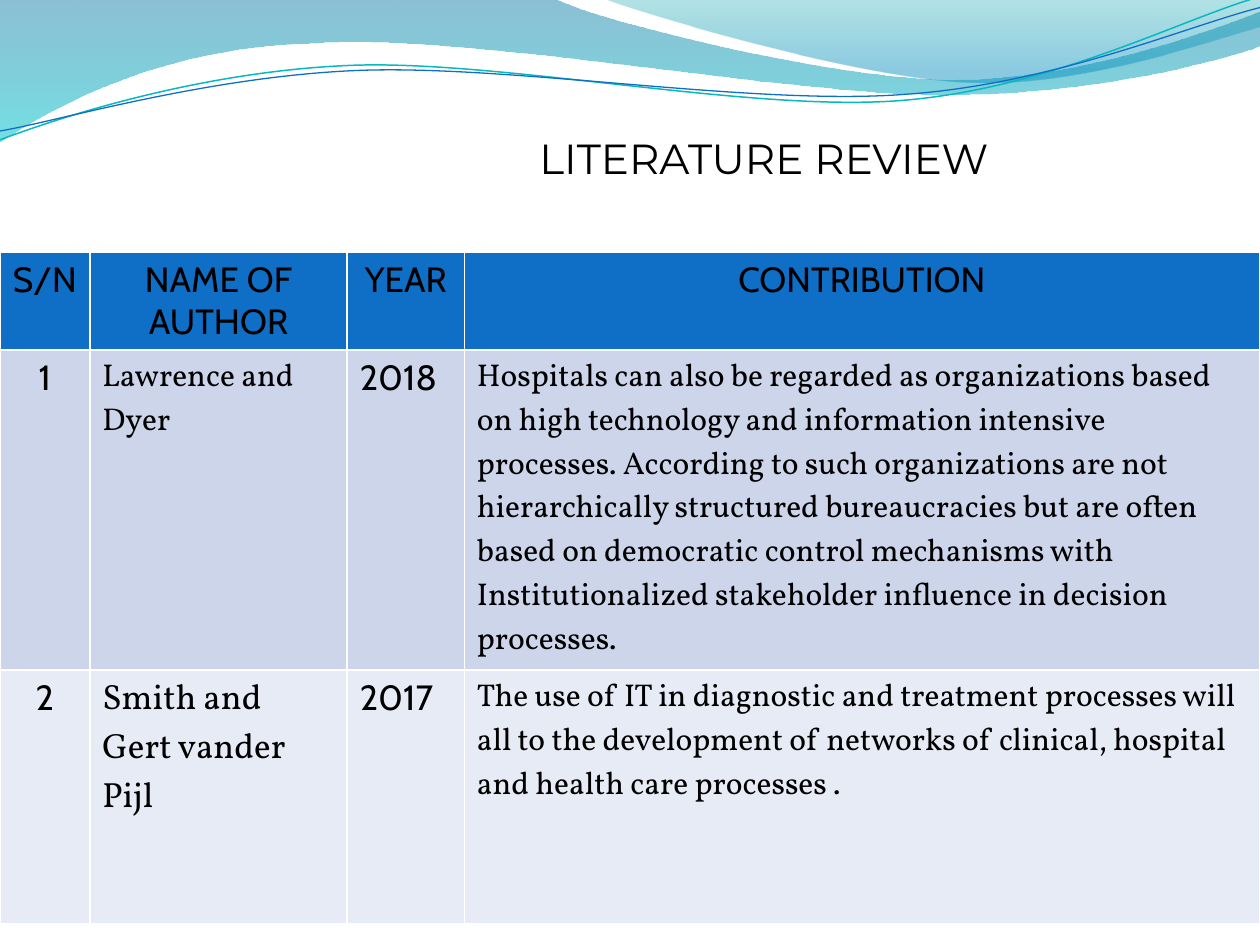
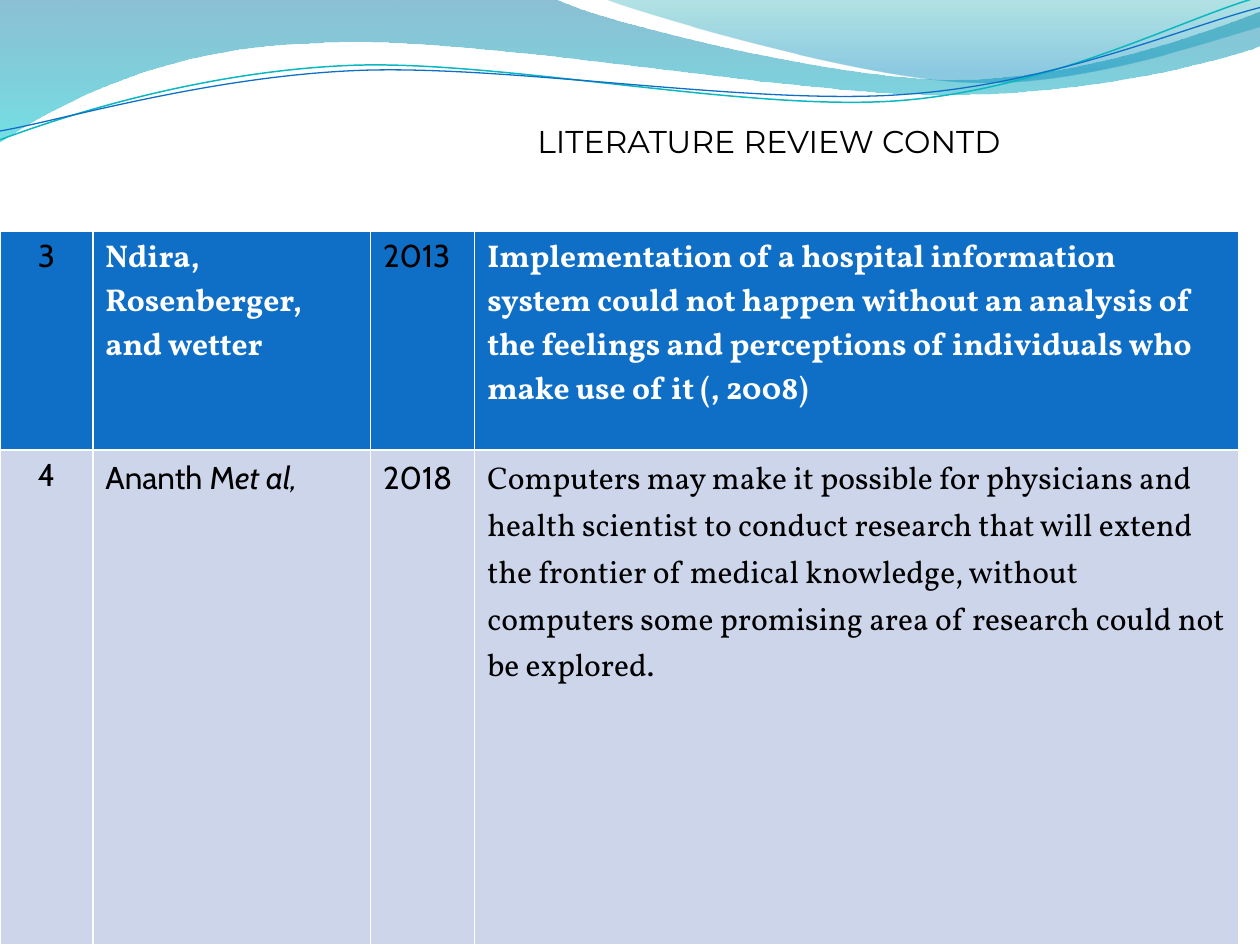
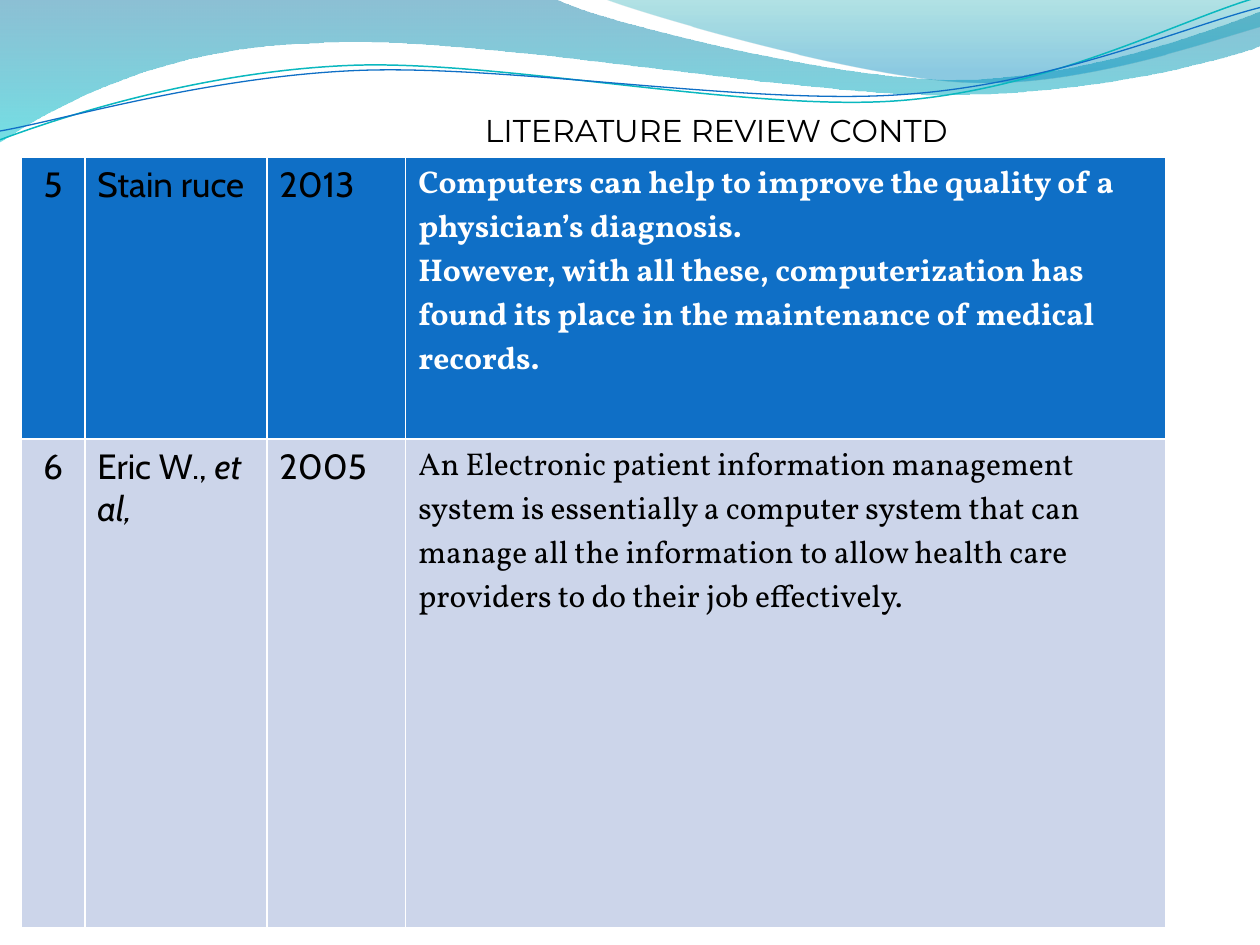
import lxml.etree
import pptx
import pptx.dml.color
import pptx.enum.text
import pptx.oxml.ns
import pptx.util

Cm = pptx.util.Cm
Pt = pptx.util.Pt
qn = pptx.oxml.ns.qn
ALIGN = pptx.enum.text.PP_ALIGN

COLORS = {
    "black": "000000", "white": "FFFFFF", "blue": "0F6FC6", "teal": "0AB8BF",
    "row dark": "CCD5EA", "row light": "E7EBF5",
    "deep blue": "0074A1", "aqua": "00C6CF", "sea green": "00A1A9", "sky": "008BBF",
}
ROW_FILLS = ["blue", "row dark", "row light"]

# Cell styles: font, size, colour, bold, loose spacing
STYLES = {
    "label": ("Cabin", 20, "black", False, False),
    "heading": ("Cabin", 20, "black", False, False),
    "small label": ("Cabin", 18, "black", False, False),
    "loose label": ("Cabin", 18, "black", False, True),
    "body": ("Vollkorn", 18, "black", False, False),
    "large body": ("Vollkorn", 20, "black", False, False),
    "loose body": ("Vollkorn", 18, "black", False, True),
    "lead": ("Vollkorn", 18, "white", True, False),
}

# A cell is a style and its paragraphs; a paragraph pair is (upright, italic).
# Lengths are centimetres.
SLIDES = [
    {
        "title": ("LITERATURE REVIEW", 24, (10.62, 2.54, 11.38, 1.27)),
        "corner": (0, 5.08),
        "columns": [1.81, 5.19, 2.36, 16.03],
        "rows": [
            (1.52, [("heading", "S/N"), ("heading", "NAME OF AUTHOR"),
                    ("heading", "YEAR"), ("heading", "CONTRIBUTION")]),
            (5.72, [("label", "1"), ("body", "Lawrence and Dyer"), ("label", "2018"),
                    ("body", "Hospitals can also be regarded as organizations based on high "
                     "technology and information intensive processes. According to such "
                     "organizations are not hierarchically structured bureaucracies but are "
                     "often based on democratic control mechanisms with Institutionalized "
                     "stakeholder influence in decision processes.")]),
            (5.11, [("label", "2"), ("large body", "Smith and Gert vander Pijl"),
                    ("label", "2017"),
                    ("body", "The use of IT in diagnostic and treatment processes will all to "
                     "the development of networks of clinical, hospital and health care "
                     "processes .")]),
        ],
    },
    {
        "title": ("LITERATURE REVIEW CONTD", 18, (10.58, 2.34, 11.76, 1.02)),
        "corner": (0, 4.66),
        "columns": [1.87, 5.6, 2.1, 15.4],
        "rows": [
            (4.41, [("small label", "3"), ("lead", "Ndira, Rosenberger, and wetter"),
                    ("small label", "2013"),
                    ("lead", "Implementation of a hospital information system could not happen "
                     "without an analysis of the feelings and perceptions of individuals who "
                     "make use of it (, 2008)")]),
            (9.98, [("small label", "4"), ("loose label", ("Ananth M", "et al,")),
                    ("loose label", "2018"),
                    ("loose body", "Computers may make it possible for physicians and health "
                     "scientist to conduct research that will extend the frontier of medical "
                     "knowledge, without computers some promising area of research could not "
                     "be explored.")]),
        ],
    },
    {
        "title": ("LITERATURE REVIEW CONTD", 18, (9.52, 2.11, 10.77, 1.02)),
        "corner": (0.43, 3.17),
        "columns": [1.28, 3.67, 2.8, 15.32],
        "rows": [
            (5.68, [("label", "5"), ("label", "Stain ruce"), ("label", "2013"),
                    ("lead", "Computers can help to improve the quality of a physician’s "
                     "diagnosis.",
                     "However, with all these, computerization has found its place in the "
                     "maintenance of medical records.")]),
            (9.86, [("label", "6"), ("label", ("Eric W., ", "et al,")), ("label", "2005"),
                    ("body", "An Electronic patient information management system is "
                     "essentially a computer system that can manage all the information to "
                     "allow health care providers to do their job effectively.")]),
        ],
    },
]

# Wave outlines on a grid of 2.54 cm: a start, then line ends (one point)
# or Bézier pieces (two handles and an end)
GRID = Cm(2.54)
BANDS = [
    ([[(0, 0)], [(4.4, -0.01)],
      [(4.76, 0.17), (6.64, 0.63), (7.58, 0.63)], [(8.53, 0.63), (9.58, 0.26), (10, 0.09)],
      [(10.01, 0.36)],
      [(9.83, 0.44), (8.7, 0.76), (7.46, 0.75)], [(6.22, 0.75), (3.82, 0.28), (2.57, 0.34)],
      [(1.29, 0.36), (0.46, 0.83), (-0.01, 1.13)], [(0, 0)]],
     [(0, "deep blue", 45), (1, "aqua", 55)]),
    ([[(4.79, -0.01)],
      [(5.09, 0.11), (6.82, 0.62), (7.69, 0.65)], [(8.56, 0.69), (9.61, 0.32), (10, 0.21)],
      [(10, 0)], [(4.79, -0.01)]],
     [(0, "sea green", 30), (0.8, "sky", 45)]),
]
STRANDS = [
    ([[(0, 1.11)], [(0.48, 0.93), (1.58, 0.57), (2.77, 0.52)],
      [(3.95, 0.47), (5.93, 0.89), (7.13, 0.8)], [(8.33, 0.71), (9.38, 0.15), (9.98, -0.02)]],
     "teal", 0.85),
    ([[(0, 1.04)], [(0.47, 0.96), (1.64, 0.61), (2.83, 0.56)],
      [(4.03, 0.51), (5.97, 0.84), (7.17, 0.75)], [(8.36, 0.67), (9.41, 0.21), (10, 0.06)]],
     "blue", 0.75),
]


def rgb(name):
    return pptx.dml.color.RGBColor.from_string(COLORS[name])


def draw_outline(slide, outline, close):
    """Build the outline through all its points, then bend the Bézier pieces."""
    points = [(x * GRID, y * GRID) for piece in outline for x, y in piece]
    builder = slide.shapes.build_freeform(*points[0])
    builder.add_line_segments(points[1:], close=close)
    shape = builder.convert_to_shape()
    shape.shadow.inherit = False

    segments = iter(list(shape.element.iter(qn("a:lnTo"))))
    for piece in outline[1:]:
        parts = [next(segments) for _ in piece]
        if len(parts) == 3:
            curve = lxml.etree.Element(qn("a:cubicBezTo"))
            parts[0].addprevious(curve)
            for part in parts:
                curve.append(part[0])
                part.getparent().remove(part)
    return shape


def draw_waves(slide):
    """Draw the waves and move them to the layout, behind its title."""
    waves = []
    for outline, stops in BANDS:
        band = draw_outline(slide, outline, True)
        band.line.fill.background()
        band.fill.gradient()
        band.fill.gradient_angle = 270
        for stop, (position, color, _) in zip(band.fill.gradient_stops, stops):
            stop.position = position
            stop.color.rgb = rgb(color)
        for node, (_, _, opacity) in zip(band.element.iter(qn("a:srgbClr")), stops):
            lxml.etree.SubElement(node, qn("a:alpha"), val=str(opacity * 1000))
        waves.append(band)
    for outline, color, width in STRANDS:
        strand = draw_outline(slide, outline, False)
        strand.fill.background()
        strand.line.color.rgb = rgb(color)
        strand.line.width = Pt(width)
        waves.append(strand)
    for index, wave in enumerate(waves):
        slide.slide_layout.shapes.element.insert(2 + index, wave.element)


def add_run(paragraph, text, font, size, color, bold=False, italic=False):
    run = paragraph.add_run()
    run.text = text
    run.font.name = font
    run.font.size = Pt(size)
    run.font.bold = bold
    run.font.italic = italic
    run.font.color.rgb = rgb(color)


def set_title(slide, text, size, box):
    title = slide.shapes.title
    title.left, title.top, title.width, title.height = map(Cm, box)
    frame = title.text_frame
    frame.word_wrap = True
    frame.auto_size = pptx.enum.text.MSO_AUTO_SIZE.NONE
    frame.vertical_anchor = pptx.enum.text.MSO_ANCHOR.TOP
    paragraph = frame.paragraphs[0]
    paragraph.alignment = ALIGN.LEFT
    add_run(paragraph, text, "Montserrat", size, "black")


def fill_cell(cell, style, paragraphs, centred):
    font, size, color, bold, loose = STYLES[style]
    frame = cell.text_frame
    for index, content in enumerate(paragraphs):
        paragraph = frame.add_paragraph() if index else frame.paragraphs[0]
        paragraph.alignment = ALIGN.CENTER if centred else ALIGN.LEFT
        if loose:
            paragraph.line_spacing = 1.07
            paragraph.space_after = Pt(8)
        runs = (content,) if isinstance(content, str) else content
        for position, text in enumerate(runs):
            add_run(paragraph, text, font, size, color, bold, italic=position == 1)


def add_review_table(slide, corner, columns, rows):
    """Add a table; its default style supplies the white borders."""
    heights = [height for height, _ in rows]
    table = slide.shapes.add_table(
        len(rows), len(columns), *map(Cm, corner), Cm(sum(columns)), Cm(sum(heights))).table
    for column, width in zip(table.columns, columns):
        column.width = Cm(width)
    for r, (height, cells) in enumerate(rows):
        table.rows[r].height = Cm(height)
        for c, (style, *paragraphs) in enumerate(cells):
            cell = table.cell(r, c)
            cell.fill.solid()
            cell.fill.fore_color.rgb = rgb(ROW_FILLS[r])
            fill_cell(cell, style, paragraphs, centred=c == 0 or style == "heading")


def main():
    presentation = pptx.Presentation()
    presentation.slide_width, presentation.slide_height = Cm(25.4), Cm(19.05)
    layout = presentation.slide_layouts.get_by_name("Title Only")

    # Keep only the title on the layout
    for placeholder in list(layout.placeholders)[1:]:
        layout.shapes.element.remove(placeholder.element)

    for number, content in enumerate(SLIDES):
        slide = presentation.slides.add_slide(layout)
        if number == 0:
            draw_waves(slide)
        set_title(slide, *content["title"])
        add_review_table(slide, content["corner"], content["columns"], content["rows"])
    presentation.save("out.pptx")


if __name__ == "__main__":
    main()
